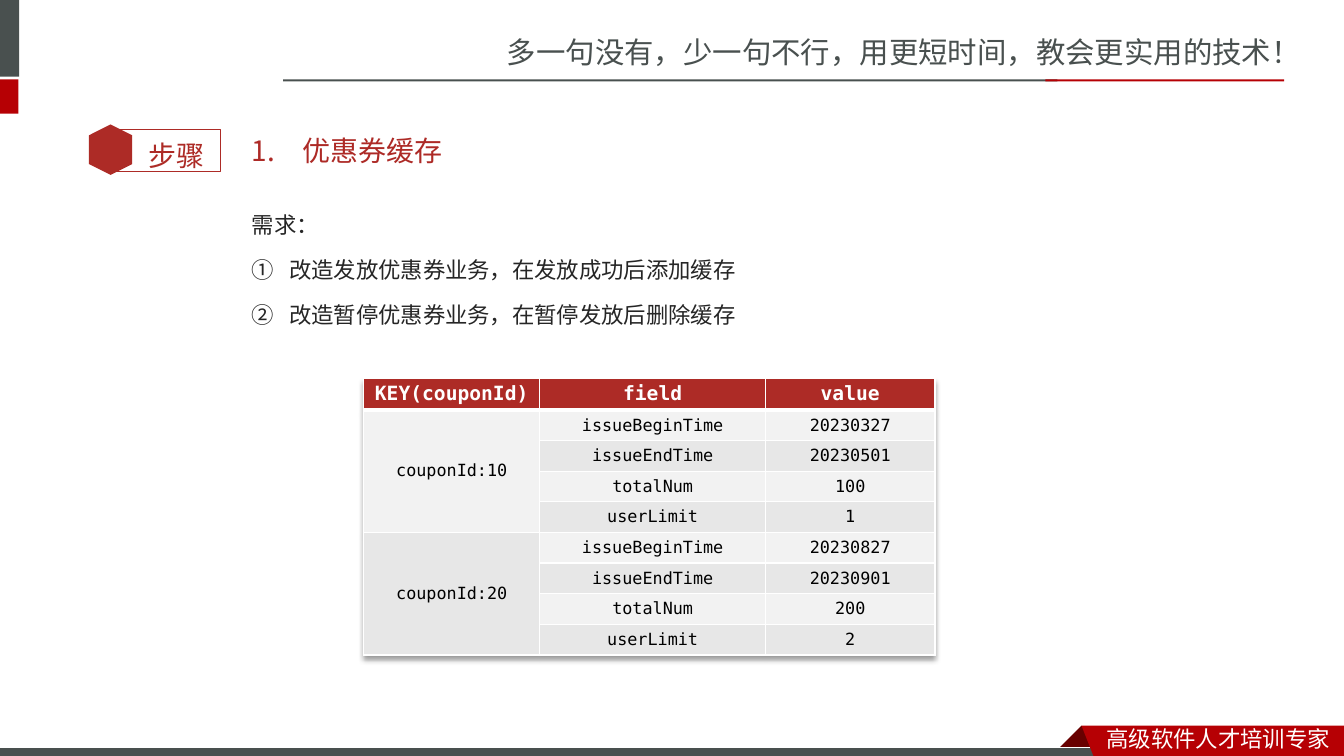
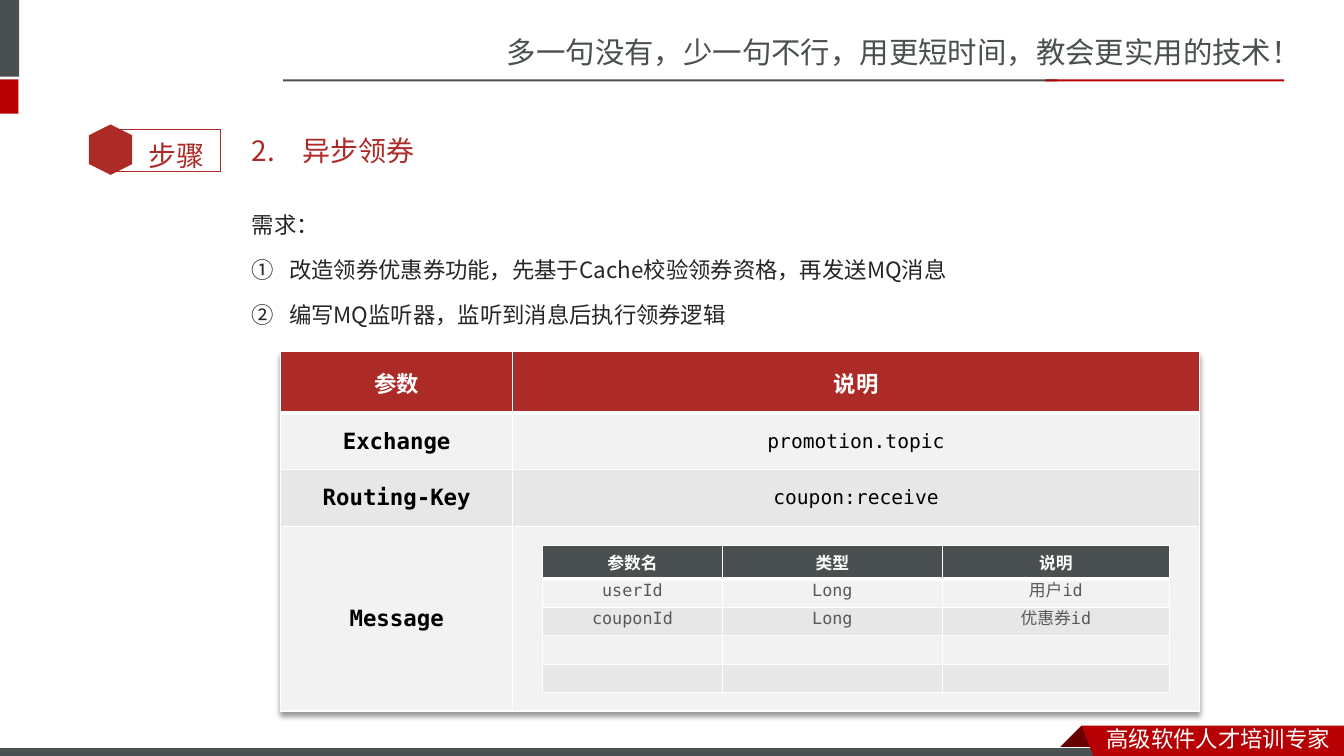
from lxml import etree
from pptx import Presentation
from pptx import util as u
from pptx.dml.color import RGBColor
from pptx.enum import shapes, text
from pptx.oxml.ns import qn

COLS, ROWS = 160, 90
UNIT = u.Inches(1) // 12
C = {
    "slate": "49504F", "red": "B60004", "dark_red": "680000",
    "brick": "AD2B26", "heading": "AD2A26", "body": "262626",
    "cell": "000000", "muted": "595959", "white": "FFFFFF",
    "band_light": "F2F2F2", "band_dark": "E7E7E7",
}
BANDS = ("band_light", "band_dark")
SANS, CODE = "Noto Sans CJK SC", "DejaVu Sans Mono"


def grid(*lengths):
    return [u.Emu(round(n * UNIT)) for n in lengths]


def rgb(name):
    return RGBColor.from_string(C[name])


def style(p, font, size, color, bold=False):
    p.font.name, p.font.size, p.font.bold = font, u.Pt(size), bold
    p.font.color.rgb = rgb(color)


def paint(sp, fill=None, line=None, width=1):
    sp.shadow.inherit = False
    if fill:
        sp.fill.solid()
        sp.fill.fore_color.rgb = rgb(fill)
    else:
        sp.fill.background()
    if line:
        sp.line.color.rgb = rgb(line)
        sp.line.width = u.Pt(width)
    else:
        sp.line.fill.background()
    return sp


def block(s, at, fill=None, line=None, width=1, kind=shapes.MSO_SHAPE.RECTANGLE):
    return paint(s.shapes.add_shape(kind, *grid(*at)), fill, line, width)


def outline(s, points, fill):
    pts = [grid(*pt) for pt in points]
    fb = s.shapes.build_freeform(*pts[0])
    fb.add_line_segments(pts[1:])
    paint(fb.convert_to_shape(), fill)


def textbox(s, at, lines, font, size, color, spacing=None, before=None):
    tf = s.shapes.add_textbox(*grid(*at)).text_frame
    tf.word_wrap = True
    for i, line in enumerate(lines):
        p = tf.add_paragraph() if i else tf.paragraphs[0]
        p.text = line
        style(p, font, size, color)
        if spacing:
            p.line_spacing = spacing
        if before:
            p.space_before = u.Pt(before)
    return tf


def number(p, scheme, indent, start=1):
    pPr = p._p.get_or_add_pPr()
    pPr.set("marL", str(u.Inches(indent)))
    pPr.set("indent", str(-u.Inches(indent)))
    bu = etree.Element(qn("a:buAutoNum"), type=scheme, startAt=str(start))
    pPr.find(qn("a:defRPr")).addprevious(bu)


def cast_shadow(tbl):
    effects = etree.SubElement(tbl._tbl.tblPr, qn("a:effectLst"))
    tbl._tbl.tblPr.insert(0, effects)
    shadow = etree.SubElement(effects, qn("a:outerShdw"), blurRad="50800",
                              dist="38100", dir="5400000", algn="t", rotWithShape="0")
    black = etree.SubElement(shadow, qn("a:prstClr"), val="black")
    etree.SubElement(black, qn("a:alpha"), val="40000")


def border(cell, widths):
    tcPr = cell._tc.get_or_add_tcPr()
    for i, (side, width) in enumerate(zip("LRTB", widths)):
        ln = etree.Element(qn("a:ln" + side), w=str(u.Pt(width)))
        fill = etree.SubElement(ln, qn("a:solidFill"))
        etree.SubElement(fill, qn("a:srgbClr"), val=C["white"])
        tcPr.insert(i, ln)


def fill_cell(cell, color):
    cell.fill.solid()
    cell.fill.fore_color.rgb = rgb(color)


def table(s, at, widths, heights, data, sizes, head_size, head="brick",
          bold_first=False, shadow=True):
    gf = s.shapes.add_table(len(heights), len(widths),
                            *grid(*at, sum(widths), sum(heights)))
    tbl = gf.table
    for column, width in zip(tbl.columns, grid(*widths)):
        column.width = width
    for row, height in zip(tbl.rows, grid(*heights)):
        row.height = height
    for r, values in enumerate(data):
        for c, value in enumerate(values):
            cell = tbl.cell(r, c)
            cell.margin_top = cell.margin_bottom = u.Inches(0.02)
            cell.vertical_anchor = text.MSO_ANCHOR.MIDDLE
            fill_cell(cell, BANDS[(r - 1) % 2] if r else head)
            p = cell.text_frame.paragraphs[0]
            if value:
                p.text = value
            p.alignment = text.PP_ALIGN.CENTER
            if r:
                style(p, CODE, sizes[c], "cell", bold_first and c == 0)
            else:
                style(p, CODE, head_size, "white", True)
                border(cell, (1, 1, 1, 3))
    if shadow:
        cast_shadow(tbl)
    return tbl


def field_row(s, left, top, widths, values):
    for width, value in zip(widths, values):
        tf = textbox(s, (left, top, width, 3.6), [value], CODE, 12, "muted")
        tf.vertical_anchor = text.MSO_ANCHOR.MIDDLE
        tf.paragraphs[0].alignment = text.PP_ALIGN.CENTER
        left += width


def frame(s):
    textbox(s, (59.16, 3.42, 100.92, 5.64),
            ["多一句没有，少一句不行，用更短时间，教会更实用的技术！"], SANS, 21, "slate")
    block(s, (-0.72, 0, 3, 9.12), "slate")
    block(s, (-0.72, 9.45, 2.92, 4.08), "red")
    block(s, (33.72, 9.45, 92.16, 0.24), "slate")
    block(s, (124.44, 9.45, 28.44, 0.24), "red")
    fold = (128.76, 86.4)
    outline(s, [fold, (131.4, 89.04), (131.28, 89.16), (126.24, 89.16),
                (126.12, 89.04)], "dark_red")
    block(s, (-0.12, 88.98, 132, 1.44), "slate", "white", 0.75)
    outline(s, [fold, (COLS, 86.4), (COLS, 90.48), (130.32, 90.36)], "red")
    textbox(s, (130.56, 85.75, 29.4, 4.44), ["高级软件人才培训专家"], SANS, 16, "white")


def step_badge(s):
    block(s, (13.08, 15.43, 13.15, 4.97), line="brick")
    hexagon = block(s, (10.16, 15.24, 6, 5.16), "brick", kind=shapes.MSO_SHAPE.HEXAGON)
    hexagon.rotation = 90
    textbox(s, (16.5, 13.92, 10.2, 6.72), ["步骤"], "Calibri", 20, "brick", 1.5)


def step_slide(prs, step, heading, needs):
    s = prs.slides.add_slide(prs.slide_layouts[6])
    frame(s)
    step_badge(s)
    tf = textbox(s, (28.8, 14.52, 120.96, 6.84), [heading], "Lato", 20, "heading", before=4)
    tf.vertical_anchor = text.MSO_ANCHOR.MIDDLE
    number(tf.paragraphs[0], "arabicPeriod", 0.5, step)
    tf = textbox(s, (28.8, 22.95, 120.96, 16.8), ["需求：", *needs],
                 "Noto Sans CJK JP", 16, "body", 1.5, 3.2)
    for p in tf.paragraphs[1:]:
        number(p, "circleNumDbPlain", 0.37)
    return s


def cache_slide(prs):
    s = step_slide(prs, 1, "优惠券缓存", ["改造发放优惠券业务，在发放成功后添加缓存",
                                     "改造暂停优惠券业务，在暂停发放后删除缓存"])
    fields = ("issueBeginTime", "issueEndTime", "totalNum", "userLimit")
    coupons = {"couponId:10": ("20230327", "20230501", "100", "1"),
               "couponId:20": ("20230827", "20230901", "200", "2")}
    data = [("KEY(couponId)", "field", "value")]
    for key, values in coupons.items():
        keys = (key, *[""] * (len(fields) - 1))
        data += zip(keys, fields, values)
    tbl = table(s, (43.32, 45), (20.95, 26.88, 20.16),
                (3.8, *[3.65] * (len(data) - 1)), data, (12, 12, 12), 14)
    for i, band in enumerate(BANDS):
        top = 1 + i * len(fields)
        tbl.cell(top, 0).merge(tbl.cell(top + len(fields) - 1, 0))
        fill_cell(tbl.cell(top, 0), band)


def message_slide(prs):
    s = step_slide(prs, 2, "异步领券", ["改造领券优惠券功能，先基于Cache校验领券资格，再发送MQ消息",
                                    "编写MQ监听器，监听到消息后执行领券逻辑"])
    table(s, (33.4, 41.88), (27.65, 81.76), (7.3, 6.76, 6.72, 22),
          [("参数", "说明"), ("Exchange", "promotion.topic"),
           ("Routing-Key", "coupon:receive"), ("Message", "")],
          (16, 14), 16, bold_first=True)
    left, widths = 64.6, (21.4, 26.2, 27)
    table(s, (left, 64.92), widths, (4.04, *[3.37] * 4),
          [("参数名", "类型", "说明"), *[("", "", "")] * 4],
          (12, 12, 12), 12, head="slate", shadow=False)
    field_row(s, left, 68.4, widths, ("userId", "Long", "用户id"))
    field_row(s, left, 71.8, widths, ("couponId", "Long", "优惠券id"))


def main():
    prs = Presentation()
    prs.slide_width, prs.slide_height = grid(COLS, ROWS)
    cache_slide(prs)
    message_slide(prs)
    prs.save("out.pptx")


if __name__ == "__main__":
    main()
